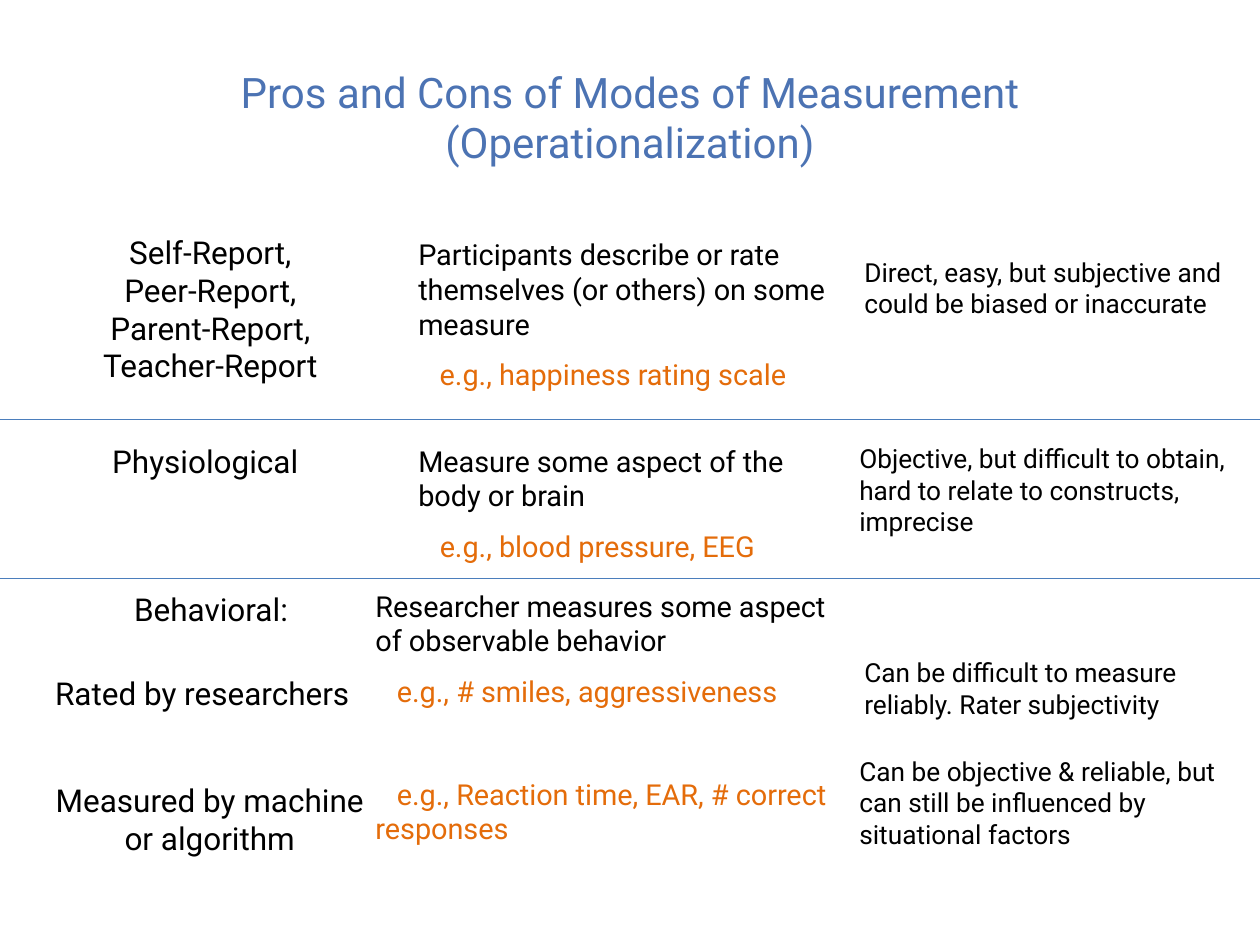
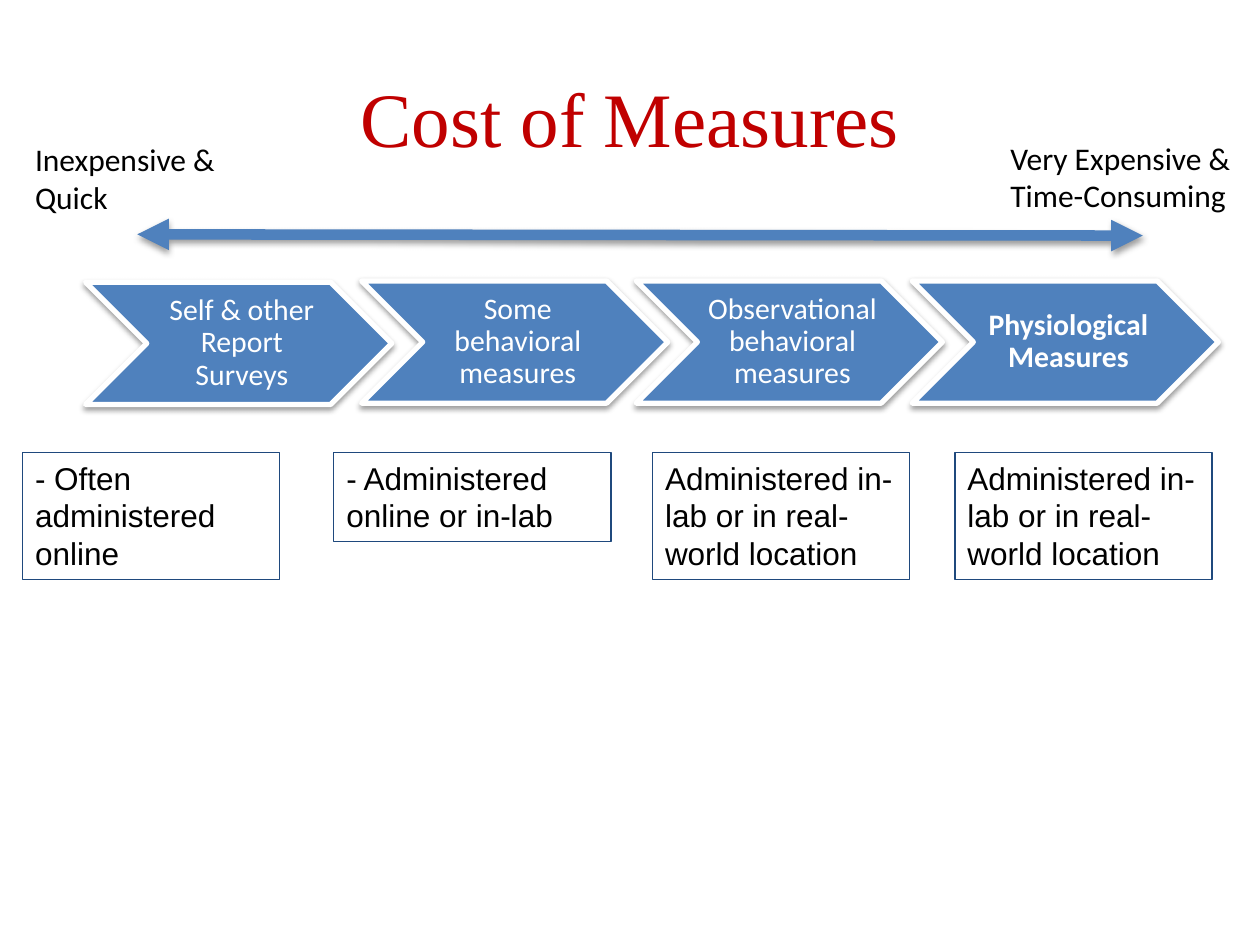
from lxml import etree
from pptx import Presentation, util as u
from pptx.dml.color import RGBColor
from pptx.enum import shapes, text
from pptx.oxml import ns

PX = 9144  # 100 px to the inch
COLORS = {
    "black": "000000", "white": "FFFFFF", "title_blue": "4C73B3", "title_red": "C00000",
    "orange": "E46C0A", "rule": "4B7EBC", "blue": "4F81BD", "navy": "1F497D",
}
RGB = {name: RGBColor.from_string(value) for name, value in COLORS.items()}
LEFT, CENTER = text.PP_ALIGN.LEFT, text.PP_ALIGN.CENTER


def add_para(tf, words, size, font, color="black", align=LEFT):
    """Fill the empty first paragraph, or append another one, and return it."""
    p = tf.add_paragraph() if tf.text else tf.paragraphs[0]
    p.alignment = align
    r = p.add_run()
    r.text = words
    r.font.size, r.font.name = u.Pt(size), font
    r.font.color.rgb = RGB[color]
    return p


def set_effects(sp, shadow):
    """Call after the line is set, so that the effect list follows it."""
    effects = etree.SubElement(sp._element.spPr, ns.qn("a:effectLst"))
    if shadow:
        outer = etree.SubElement(effects, ns.qn("a:outerShdw"), blurRad="40000",
                                 dist="23000", dir="5400000", rotWithShape="0")
        tone = etree.SubElement(outer, ns.qn("a:srgbClr"), val=COLORS["black"])
        etree.SubElement(tone, ns.qn("a:alpha"), val="38000")


prs = Presentation()
prs.slide_width, prs.slide_height = 1000 * PX, 750 * PX

titles = [
    ("Pros and Cons of Modes of Measurement (Operationalization)", 24, "Roboto", "title_blue"),
    ("Cost of Measures", 44, "Times New Roman", "title_red"),
]
for words, size, font, color in titles:
    s = prs.slides.add_slide(prs.slide_layouts[5])
    title = s.shapes.title
    title.left, title.top, title.width, title.height = 50 * PX, 30 * PX, 900 * PX, 125 * PX
    title.text_frame.vertical_anchor = text.MSO_ANCHOR.MIDDLE
    add_para(title.text_frame, words, size, font, color, CENTER)
modes, costs = prs.slides

# Slide 1: modes, descriptions with examples, and judgements
mode_names = [
    (29, 181, 276, 127, CENTER, ["Self-Report,", "Peer-Report,", "Parent-Report,", "Teacher-Report"]),
    (82, 347, 170, 38, LEFT, ["Physiological"]),
    (68, 464, 199, 44, CENTER, ["Behavioral:"]),
    (19, 531, 283, 44, CENTER, ["Rated by researchers"]),
    (35, 616, 263, 101, CENTER, ["Measured by machine or algorithm"]),
]
descriptions = [
    (325, 184, 343, 132, LEFT, ["Participants describe or rate themselves (or others) on some measure",
                                "e.g., happiness rating scale"]),
    (325, 348, 322, 104, LEFT, ["Measure some aspect of the body or brain",
                                "e.g., blood pressure, EEG"]),
    (291, 463, 391, 180, LEFT, ["Researcher measures some aspect of observable behavior",
                                "e.g., # smiles, aggressiveness",
                                "e.g., Reaction time, EAR, # correct responses"]),
]
judgements = [
    (679, 199, 303, 109, LEFT, ["Direct, easy, but subjective and could be biased or inaccurate"]),
    (675, 347, 307, 109, LEFT, ["Objective, but difficult to obtain, hard to relate to constructs, imprecise"]),
    (679, 517, 303, 55, LEFT, ["Can be difficult to measure reliably. Rater subjectivity"]),
    (675, 595, 321, 109, LEFT, ["Can be objective & reliable, but can still be influenced by situational factors"]),
]
example_gaps = [0, 9, 39]
for size, column in ((18, mode_names), (16.5, descriptions), (15, judgements)):
    for x, y, w, h, align, lines in column:
        tf = modes.shapes.add_textbox(x * PX, y * PX, w * PX, h * PX).text_frame
        tf.word_wrap = True
        tf.margin_left = tf.margin_right = 7 * PX
        tf.margin_top = tf.margin_bottom = 4 * PX
        for i, line in enumerate(lines):
            is_example = column is descriptions and i > 0
            p = add_para(tf, line, size, "Roboto", "orange" if is_example else "black", align)
            if is_example:
                p.space_before = u.Pt(example_gaps[i])
                p._p.get_or_add_pPr().set("indent", str(17 * PX))

for y in (333, 459):
    rule = modes.shapes.add_connector(shapes.MSO_CONNECTOR.STRAIGHT, 0, y * PX, 1000 * PX, y * PX)
    rule.line.color.rgb, rule.line.width = RGB["rule"], u.Pt(0.75)
    set_effects(rule, shadow=False)

# Slide 2: measures from cheap to expensive
measures = ["Self & other Report Surveys", "Some behavioral measures",
            "Observational behavioral measures", "Physiological Measures"]
for i, measure in enumerate(measures):
    top = 224 if i == 0 else 223
    sp = costs.shapes.add_shape(shapes.MSO_SHAPE.CHEVRON, round(68 + 218.7 * i) * PX, top * PX,
                                243 * PX, 97 * PX)
    sp.fill.solid()
    sp.fill.fore_color.rgb = RGB["blue"]
    sp.line.color.rgb, sp.line.width = RGB["white"], u.Pt(3)
    set_effects(sp, shadow=True)
    tf = sp.text_frame
    tf.word_wrap, tf.vertical_anchor = True, text.MSO_ANCHOR.MIDDLE
    tf.margin_left = 7 * PX
    tf.margin_top = tf.margin_right = tf.margin_bottom = 2 * PX
    p = add_para(tf, measure, 17, "Calibri", "white", CENTER)
    p.line_spacing = 0.9
    p.runs[0].font.bold = measure == measures[-1]

arrow = costs.shapes.add_connector(shapes.MSO_CONNECTOR.STRAIGHT, 109 * PX, 186 * PX, 907 * PX, 187 * PX)
arrow.line.color.rgb, arrow.line.width = RGB["blue"], u.Pt(6)
for end in ("a:headEnd", "a:tailEnd"):
    etree.SubElement(arrow.line._get_or_add_ln(), ns.qn(end), type="triangle")
set_effects(arrow, shadow=True)

scale_ends = [(18, 106, 165, "Inexpensive & Quick"), (792, 105, 208, "Very Expensive & Time-Consuming")]
for x, y, w, words in scale_ends:
    tf = costs.shapes.add_textbox(x * PX, y * PX, w * PX, 71 * PX).text_frame
    tf.word_wrap = True
    add_para(tf, words, 18, "Calibri")

settings = [
    (18, 204, 101, "- Often administered online"),
    (265, 220, 71, "- Administered online or in-lab"),
    (518, 204, 101, "Administered in-lab or in real-world location"),
    (758, 204, 101, "Administered in-lab or in real-world location"),
]
for x, w, h, words in settings:
    sp = costs.shapes.add_shape(shapes.MSO_SHAPE.RECTANGLE, x * PX, 359 * PX, w * PX, h * PX)
    sp.fill.background()
    sp.line.color.rgb, sp.line.width = RGB["navy"], u.Pt(0.75)
    sp.shadow.inherit = False
    sp.text_frame.word_wrap = True
    sp.text_frame.vertical_anchor = text.MSO_ANCHOR.TOP
    add_para(sp.text_frame, words, 18, "Arial")

prs.save("out.pptx")
